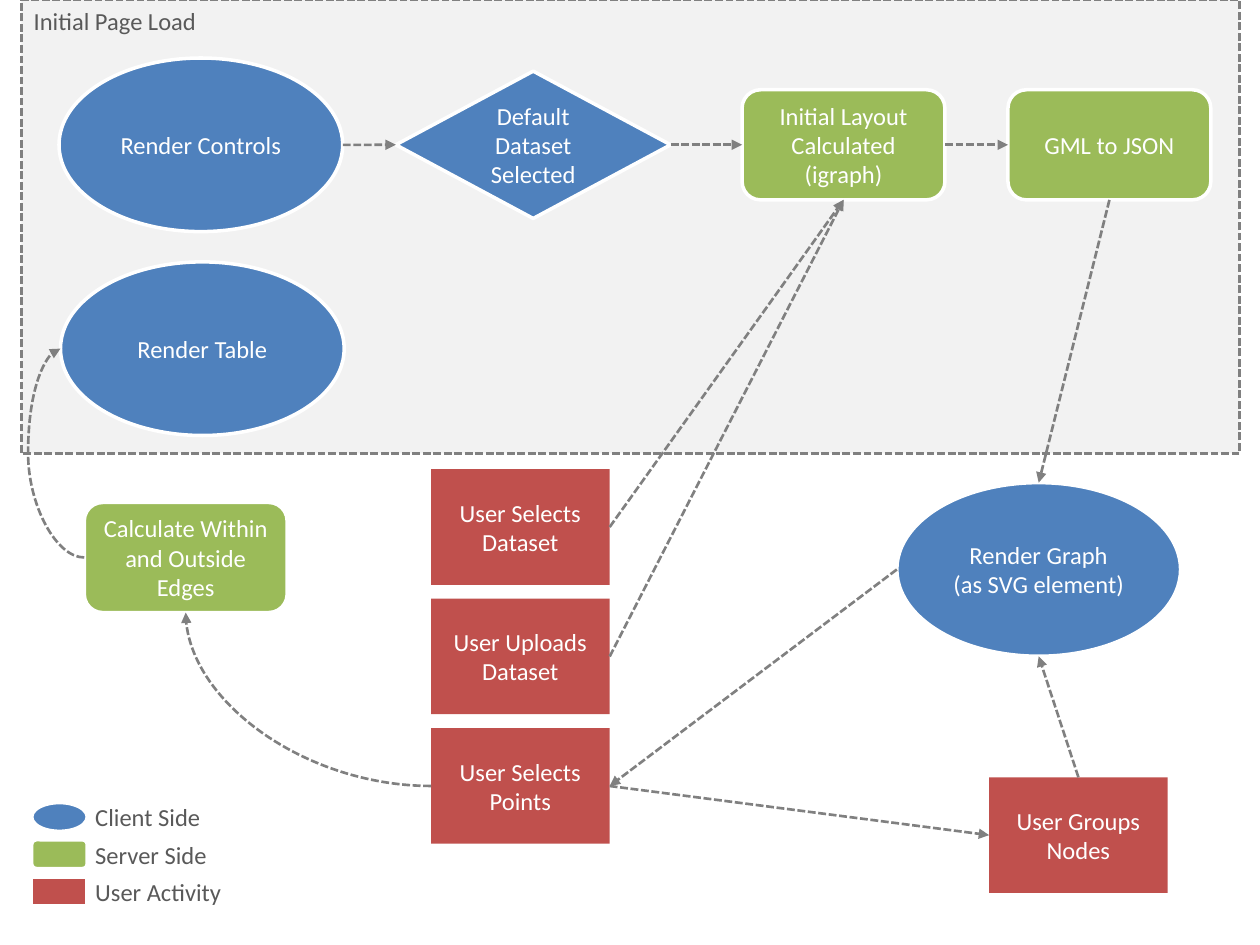
from lxml.etree import SubElement
from pptx import Presentation
from pptx.dml.color import RGBColor
from pptx.enum.dml import MSO_LINE
from pptx.enum.shapes import MSO_CONNECTOR, MSO_SHAPE
from pptx.enum.text import MSO_ANCHOR, PP_ALIGN
from pptx.oxml.ns import qn
from pptx.util import Cm, Pt

BLUE, GREEN, RED = "4F81BD", "9BBB59", "C0504D"
WHITE, PANEL, GREY, INK = "FFFFFF", "F2F2F2", "808080", "595959"

# kind: (shape, width, height, fill, outlined)
KINDS = {
    "client": (MSO_SHAPE.OVAL, 5.72, 3.5, BLUE, True),
    "choice": (MSO_SHAPE.FLOWCHART_DECISION, 5.54, 2.97, BLUE, True),
    "server": (MSO_SHAPE.ROUNDED_RECTANGLE, 4.09, 2.22, GREEN, True),
    "user": (MSO_SHAPE.RECTANGLE, 3.6, 2.33, RED, False),
}
USER_LEFT, USER_TOP, USER_STEP = 8.69, 9.46, 2.61
TOP_ROW = 2.92  # vertical centre of the first row

# name: (kind, left, top, text)
STEPS = {
    "graph": ("client", 18.08, 9.73, "Render Graph\v(as SVG element)"),
    "table": ("client", 1.22, 5.28, "Render Table"),
    "points": ("user", USER_LEFT, USER_TOP + 2 * USER_STEP, "User Selects Points"),
    "groups": ("user", 19.94, 15.67, "User Groups Nodes"),
    "edges": ("server", 1.7, 10.13, "Calculate Within and Outside Edges"),
    "default": ("choice", 7.98, None, "Default Dataset Selected"),
    "controls": ("client", 1.19, None, "Render Controls"),
    "layout": ("server", 14.96, None, "Initial Layout Calculated (igraph)"),
    "json": ("server", 20.32, None, "GML to JSON"),
    "selects": ("user", USER_LEFT, USER_TOP, "User Selects Dataset"),
    "uploads": ("user", USER_LEFT, USER_TOP + USER_STEP, "User Uploads Dataset"),
}
ARROWS = [
    ("graph", "left", "points", "right"),
    ("points", "right", "groups", "left"),
    ("groups", "top", "graph", "bottom"),
    ("controls", "right", "default", "left"),
    ("default", "right", "layout", "left"),
    ("layout", "right", "json", "left"),
    ("json", "bottom", "graph", "top"),
    ("selects", "right", "layout", "bottom"),
    ("uploads", "right", "layout", "bottom"),
]
# start, side, end, side, preset, bend
CURVES = [
    ("points", "left", "edges", "bottom", "curvedConnector2", None),
    ("edges", "left", "table", "left", "curvedConnector3", 235900),
]
LEGEND = [
    ("Client Side", MSO_SHAPE.OVAL, BLUE, 2.84),
    ("Server Side", MSO_SHAPE.FLOWCHART_ALTERNATE_PROCESS, GREEN, 2.84),
    ("User Activity", MSO_SHAPE.RECTANGLE, RED, 3.56),
]
LEGEND_TOP, LEGEND_STEP = 16.18, 0.75
SIDES = {"top": (0.5, 0), "left": (0, 0.5), "bottom": (0.5, 1), "right": (1, 0.5)}


def color(value):
    """Turn a hex string into a colour."""
    return RGBColor.from_string(value)


def style_line(line, value, width, dashed=False):
    """Set colour, width and dash of a line."""
    line.color.rgb = color(value)
    line.width = Pt(width)
    if dashed:
        line.dash_style = MSO_LINE.SQUARE_DOT


def write(frame, text, value, align):
    """Fill a text frame with one formatted paragraph."""
    frame.word_wrap = True
    frame.text = text
    paragraph = frame.paragraphs[0]
    paragraph.alignment = align
    for run in paragraph.runs:
        run.font.name, run.font.size = "Calibri", Pt(14)
        run.font.color.rgb = color(value)


def add_block(shape_type, left, top, width, height, fill, outlined=True):
    """Add a filled shape, with a white outline if asked."""
    block = slide.shapes.add_shape(shape_type, Cm(left), Cm(top), Cm(width), Cm(height))
    block.shadow.inherit = False
    block.fill.solid()
    block.fill.fore_color.rgb = color(fill)
    if outlined:
        style_line(block.line, WHITE, 2)
    else:
        block.line.fill.background()
    return block


def add_label(text, left, top, width):
    """Add a left-aligned caption."""
    label = slide.shapes.add_textbox(Cm(left), Cm(top), Cm(width), Cm(0.86))
    write(label.text_frame, text, INK, PP_ALIGN.LEFT)


def add_step(kind, left, top, text):
    """Add one step of the flow; without a top it sits in the first row."""
    shape_type, width, height, fill, outlined = KINDS[kind]
    if top is None:
        top = TOP_ROW - height / 2
    step = add_block(shape_type, left, top, width, height, fill, outlined)
    step.text_frame.vertical_anchor = MSO_ANCHOR.MIDDLE
    write(step.text_frame, text, WHITE, PP_ALIGN.CENTER)
    return step


def anchor(step, side):
    """Return the middle point of one side of a step."""
    across, down = SIDES[side]
    return int(step.left + step.width * across), int(step.top + step.height * down)


def add_arrow(start, start_side, end, end_side, style=MSO_CONNECTOR.STRAIGHT):
    """Add a dashed arrow between two steps."""
    arrow = slide.shapes.add_connector(
        style, *anchor(steps[start], start_side), *anchor(steps[end], end_side))
    style_line(arrow.line, GREY, 1.5, dashed=True)
    SubElement(arrow.line._get_or_add_ln(), qn("a:tailEnd"), type="triangle")
    SubElement(arrow._element.spPr, qn("a:effectLst"))
    return arrow


def glue(arrow, tag, name, side):
    """Tie one end of an arrow to a step; ovals have eight sites."""
    site = list(SIDES).index(side) * (2 if STEPS[name][0] == "client" else 1)
    SubElement(arrow._element.nvCxnSpPr.cNvCxnSpPr, qn(tag),
               id=str(steps[name].shape_id), idx=str(site))


presentation = Presentation()
presentation.slide_width, presentation.slide_height = Cm(25.4), Cm(19.05)
slide = presentation.slides.add_slide(presentation.slide_layouts[6])

page_load = add_block(MSO_SHAPE.RECTANGLE, 0.43, 0, 24.56, 9.14, PANEL)
style_line(page_load.line, GREY, 1.5, dashed=True)
add_label("Initial Page Load", 0.43, 0, 4.45)

steps = {name: add_step(*step) for name, step in STEPS.items()}

for start, start_side, end, end_side in ARROWS:
    arrow = add_arrow(start, start_side, end, end_side)
    glue(arrow, "a:stCxn", start, start_side)
    glue(arrow, "a:endCxn", end, end_side)

for *ends, preset, bend in CURVES:
    geometry = add_arrow(*ends, MSO_CONNECTOR.CURVE)._element.spPr.find(qn("a:prstGeom"))
    geometry.set("prst", preset)
    if bend:
        SubElement(geometry.find(qn("a:avLst")), qn("a:gd"), name="adj1", fmla=f"val {bend}")

for row, (caption, shape_type, fill, width) in enumerate(LEGEND):
    top = LEGEND_TOP + row * LEGEND_STEP
    add_block(shape_type, 0.64, top, 1.12, 0.58, fill)
    add_label(caption, 1.67, top - 0.13, width)

presentation.save("out.pptx")
